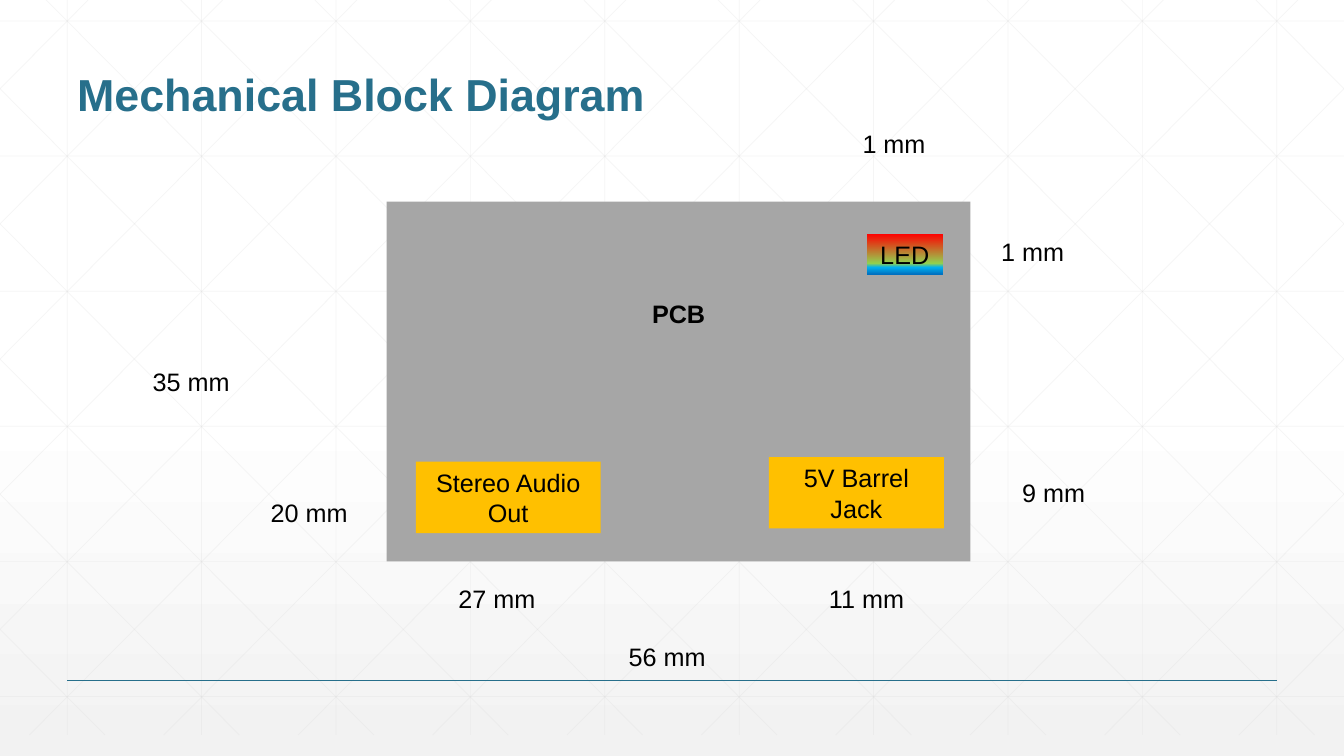
"""Build the mechanical block diagram slide of a PCB with its dimensions."""
from lxml.etree import SubElement
from pptx import Presentation
from pptx.dml.color import RGBColor
from pptx.enum.shapes import MSO_CONNECTOR as LINK, MSO_SHAPE as SHAPE
from pptx.enum.text import MSO_ANCHOR as ANCHOR, PP_ALIGN as ALIGN
from pptx.oxml.ns import qn
from pptx.util import Pt

TITLE = "Mechanical Block Diagram"
FONT, TEAL, BLACK, GRID = "Arial", "276F8B", "000000", "D9D9D9"
WIDTH, HEIGHT = 960, 540
BACKDROP = [(0, "FFFFFF"), (53, "FFFFFF"), (100, "F2F2F2")]
RAINBOW = [(0, "FF0000"), (73, "92D050"), (83, "00B0F0"), (100, "0070C0")]
PCB = ("PCB", 276.25, 144, 417, 257, "A6A6A6")
PARTS = [
    ("Stereo Audio Out", 297, 329.75, 132, 51, "FFC000"),
    ("LED", 619.25, 167, 54, 29, RAINBOW),
    ("5V Barrel Jack", 549.25, 326.5, 125, 51, "FFC000"),
]
DIMENSIONS = [
    ("1 mm", 609, 88), ("1 mm", 708, 165), ("56 mm", 442, 454.5),
    ("35 mm", 102, 258), ("20 mm", 186.25, 351.75), ("27 mm", 320.25, 413.25),
    ("11 mm", 585, 413.25), ("9 mm", 723, 337.25),
]
GRID_BOTTOM, GRID_STEP, ROW_STEP = 525, 96, 96.5
DIAGONAL_START, DIAGONAL_RUN = 33, 522


def color(value):
    return RGBColor.from_string(value)


def fill_gradient(fill, element, stops):
    fill.gradient()
    fill.gradient_angle = 270
    stop_list = next(element.iter(qn("a:gsLst")))
    for stop in list(stop_list):
        stop_list.remove(stop)
    for percent, value in stops:
        stop = SubElement(stop_list, qn("a:gs"), pos=str(percent * 1000))
        SubElement(stop, qn("a:srgbClr"), val=value)


def add_line(page, start, end, value, weight, opacity=100):
    points = [Pt(number) for number in (*start, *end)]
    line = page.shapes.add_connector(LINK.STRAIGHT, *points)
    line.line.color.rgb = color(value)
    line.line.width = Pt(weight)
    properties = line._element.spPr
    if opacity < 100:
        shade = next(properties.iter(qn("a:srgbClr")))
        SubElement(shade, qn("a:alpha"), val=str(opacity * 1000))
    SubElement(properties, qn("a:effectLst"))


def add_grid(page):
    lines = []
    for column in range(10):
        x = 48 + GRID_STEP * column
        lines.append(((x, 0), (x, GRID_BOTTOM)))
    for row in range(6):
        y = 15 + ROW_STEP * row
        lines.append(((0, y), (WIDTH, y)))
    slope = GRID_BOTTOM / DIAGONAL_RUN
    for step in range(-5, 10):
        top_x = DIAGONAL_START + GRID_STEP * step
        left, right = max(0, top_x), min(WIDTH, top_x + DIAGONAL_RUN)
        upper, lower = (left - top_x) * slope, (right - top_x) * slope
        lines.append(((left, upper), (right, lower)))
        lines.append(((WIDTH - left, upper), (WIDTH - right, lower)))
    for start, end in lines:
        add_line(page, start, end, GRID, 0.5, 25)


def write(box, text, size=18, value=BLACK, bold=False, align=ALIGN.LEFT):
    box.text_frame.text = text
    para = box.text_frame.paragraphs[0]
    para.alignment = align
    font = para.runs[0].font
    font.name, font.size, font.bold = FONT, Pt(size), bold
    font.color.rgb = color(value)


def add_label(page, text, left, top, width=70, height=29, wrap=False, **style):
    box = page.shapes.add_textbox(Pt(left), Pt(top), Pt(width), Pt(height))
    write(box, text, **style)
    box.text_frame.word_wrap = wrap
    return box


def add_block(page, text, left, top, width, height, paint, bold=False):
    box = page.shapes.add_shape(
        SHAPE.RECTANGLE, Pt(left), Pt(top), Pt(width), Pt(height))
    box.shadow.inherit = False
    box.line.fill.background()
    if isinstance(paint, str):
        box.fill.solid()
        box.fill.fore_color.rgb = color(paint)
    else:
        fill_gradient(box.fill, box._element, paint)
    write(box, text, bold=bold, align=ALIGN.CENTER)
    box.text_frame.vertical_anchor = ANCHOR.MIDDLE
    return box


def main():
    deck = Presentation()
    deck.slide_width, deck.slide_height = Pt(WIDTH), Pt(HEIGHT)
    page = deck.slides.add_slide(deck.slide_layouts[6])
    fill_gradient(page.background.fill, page._element, BACKDROP)
    add_grid(page)
    add_line(page, (48, 486), (912, 486), TEAL, 1)

    title = add_label(page, TITLE, 48, 18, 864, 72, wrap=True,
                      size=32, value=TEAL, bold=True)
    title.text_frame.vertical_anchor = ANCHOR.BOTTOM
    title.text_frame.paragraphs[0].line_spacing = 0.9

    board = add_block(page, *PCB, bold=True)
    board.text_frame.vertical_anchor = ANCHOR.TOP
    board.text_frame.margin_top = Pt(69)
    for part in PARTS:
        add_block(page, *part)
    for text, left, top in DIMENSIONS:
        add_label(page, text, left, top)
    deck.save("out.pptx")


if __name__ == "__main__":
    main()
